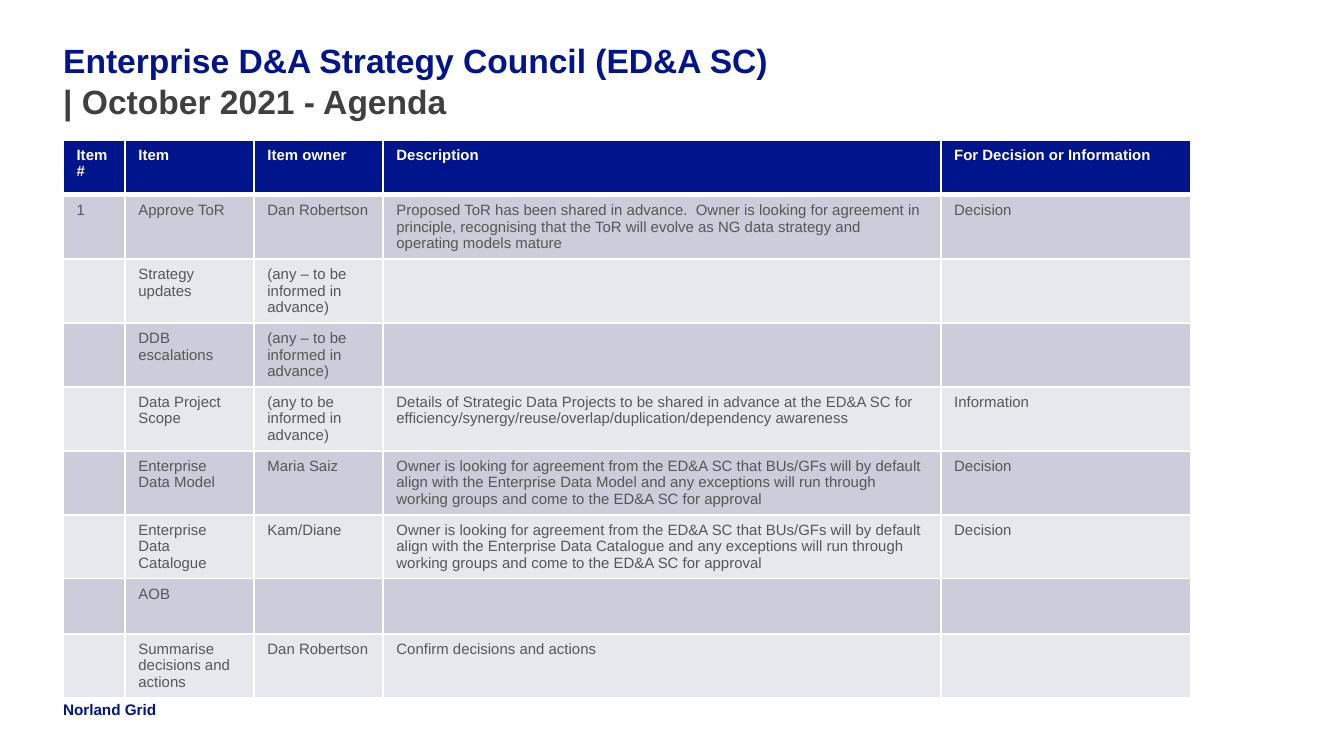
"""Build the strategy council agenda slide."""
import pptx
import pptx.dml.color
import pptx.enum.text
import pptx.oxml
import pptx.oxml.ns
import pptx.util

Inches = pptx.util.Inches

TITLE = "Enterprise D&A Strategy Council (ED&A SC)"
SUBTITLE = "| October 2021 - Agenda"
FOOTER = "Norland Grid"
HEADERS = ("Item #", "Item", "Item owner", "Description", "For Decision or Information")
APPROVAL = (
    "Owner is looking for agreement from the ED&A SC that BUs/GFs will by default align with the "
    "Enterprise Data {} and any exceptions will run through working groups and come to the ED&A SC "
    "for approval"
)
AGENDA = [
    ("1", "Approve ToR", "Dan Robertson",
     "Proposed ToR has been shared in advance.  Owner is looking for agreement in principle, "
     "recognising that the ToR will evolve as NG data strategy and operating models mature",
     "Decision"),
    ("", "Strategy updates", "(any – to be informed in advance)", "", ""),
    ("", "DDB escalations", "(any – to be informed in advance)", "", ""),
    ("", "Data Project Scope", "(any to be informed in advance)",
     "Details of Strategic Data Projects to be shared in advance at the ED&A SC for "
     "efficiency/synergy/reuse/overlap/duplication/dependency awareness", "Information"),
    ("", "Enterprise Data Model", "Maria Saiz", APPROVAL.format("Model"), "Decision"),
    ("", "Enterprise Data Catalogue", "Kam/Diane", APPROVAL.format("Catalogue"), "Decision"),
    ("", "AOB", "", "", ""),
    ("", "Summarise decisions and actions", "Dan Robertson", "Confirm decisions and actions", ""),
]
COLUMN_WIDTHS = (0.46, 0.96, 0.96, 4.15, 1.86)
ROW_HEIGHTS = (0.41, 0.43) + (0.41,) * 7
LEFT = 0.47

THEME = {
    "font": "Arial",
    "blue": "00148C",
    "dark": "404042",
    "grey": "55555A",
    "white": "FFFFFF",
    "bands": ("CCCCDA", "E7E7EE"),
    "title_size": 18,
    "table_size": 8,
    "footer_size": 8.2,
}


def color(value):
    return pptx.dml.color.RGBColor.from_string(value)


def add_run(paragraph, text, size, fill, bold):
    run = paragraph.add_run()
    run.text = text
    values = {"name": THEME["font"], "size": pptx.util.Pt(size), "bold": bold}
    for name, value in values.items():
        setattr(run.font, name, value)
    run.font.color.rgb = color(fill)


def format_frame(frame, anchor):
    values = {
        "margin_left": 0, "margin_top": 0, "margin_right": 0, "margin_bottom": 0,
        "word_wrap": True, "vertical_anchor": anchor,
        "auto_size": pptx.enum.text.MSO_AUTO_SIZE.NONE,
    }
    for name, value in values.items():
        setattr(frame, name, value)


def add_borders(cell, bottom_width):
    properties = cell._tc.get_or_add_tcPr()
    widths = {"lnL": 1, "lnR": 1, "lnT": 1, "lnB": bottom_width}
    for index, (side, width) in enumerate(widths.items()):
        properties.insert(index, pptx.oxml.parse_xml(
            f'<a:{side} {pptx.oxml.ns.nsdecls("a")} w="{pptx.util.Pt(width)}">'
            f'<a:solidFill><a:srgbClr val="{THEME["white"]}"/></a:solidFill></a:{side}>'
        ))


def add_title(slide):
    title = slide.shapes.title
    box = {"left": LEFT, "top": 0.3, "width": 9.06, "height": 0.9}
    for name, value in box.items():
        setattr(title, name, Inches(value))
    format_frame(title.text_frame, pptx.enum.text.MSO_ANCHOR.TOP)
    paragraph = title.text_frame.paragraphs[0]
    paragraph.alignment = pptx.enum.text.PP_ALIGN.LEFT
    add_run(paragraph, TITLE, THEME["title_size"], THEME["blue"], True)
    paragraph.add_line_break()
    add_run(paragraph, SUBTITLE, THEME["title_size"], THEME["dark"], True)


def add_agenda(slide):
    rows = [HEADERS, *AGENDA]
    table = slide.shapes.add_table(
        len(rows), len(HEADERS), Inches(LEFT), Inches(1.04),
        Inches(sum(COLUMN_WIDTHS)), Inches(sum(ROW_HEIGHTS)),
    ).table
    for column, width in zip(table.columns, COLUMN_WIDTHS):
        column.width = Inches(width)
    for row_index, texts in enumerate(rows):
        is_header = row_index == 0
        fill = THEME["blue"] if is_header else THEME["bands"][(row_index - 1) % 2]
        ink = THEME["white"] if is_header else THEME["grey"]
        table.rows[row_index].height = Inches(ROW_HEIGHTS[row_index])
        for column_index, text in enumerate(texts):
            cell = table.cell(row_index, column_index)
            cell.fill.solid()
            cell.fill.fore_color.rgb = color(fill)
            add_borders(cell, 3 if is_header else 1)
            if text:
                paragraph = cell.text_frame.paragraphs[0]
                add_run(paragraph, text, THEME["table_size"], ink, is_header)


def add_footer(slide):
    footer = slide.shapes.add_textbox(Inches(LEFT), Inches(5.21), Inches(1), Inches(0.14))
    format_frame(footer.text_frame, pptx.enum.text.MSO_ANCHOR.BOTTOM)
    add_run(footer.text_frame.paragraphs[0], FOOTER, THEME["footer_size"], THEME["blue"], True)


def main():
    presentation = pptx.Presentation()
    presentation.slide_width = Inches(10)
    presentation.slide_height = presentation.slide_width * 9 // 16
    slide = presentation.slides.add_slide(presentation.slide_layouts[5])
    add_footer(slide)
    add_title(slide)
    add_agenda(slide)
    presentation.save("out.pptx")


if __name__ == "__main__":
    main()
